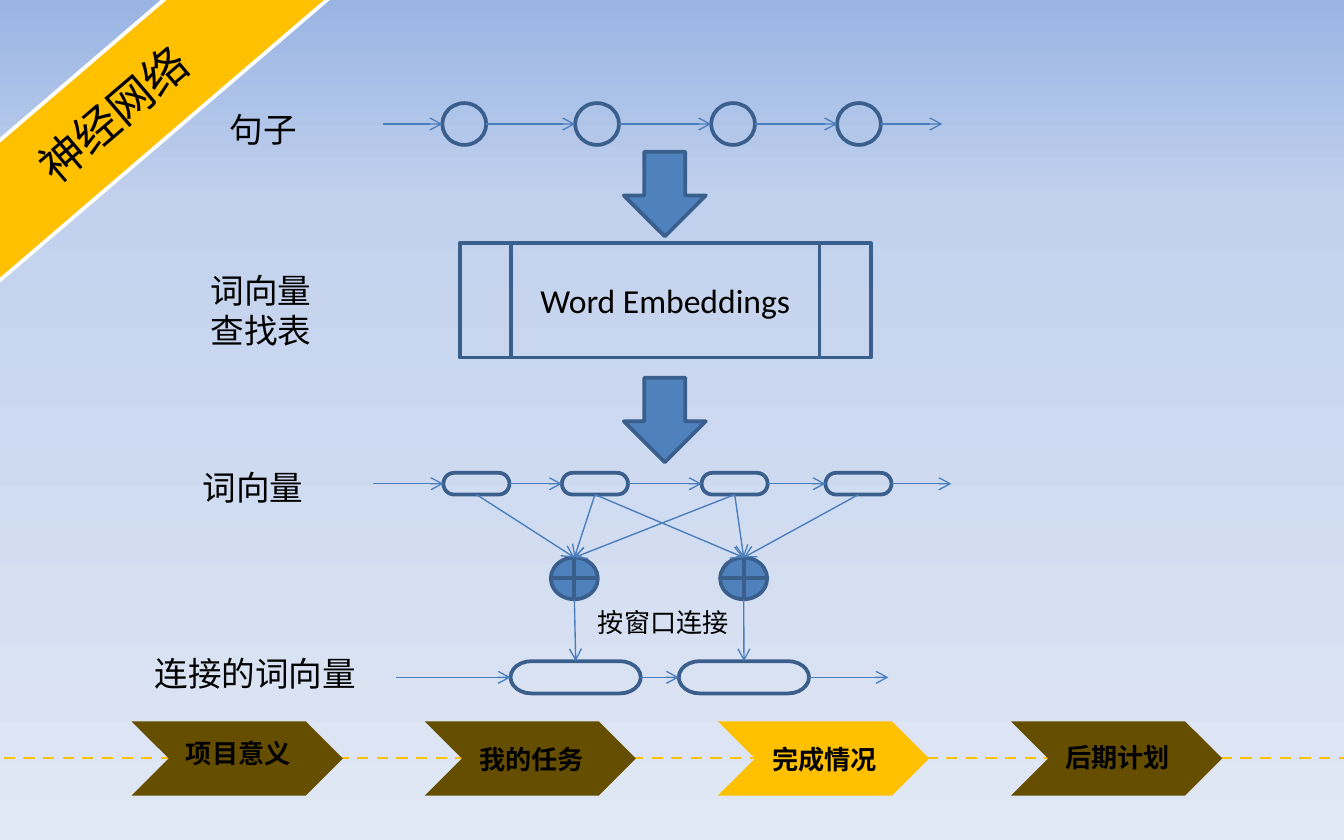
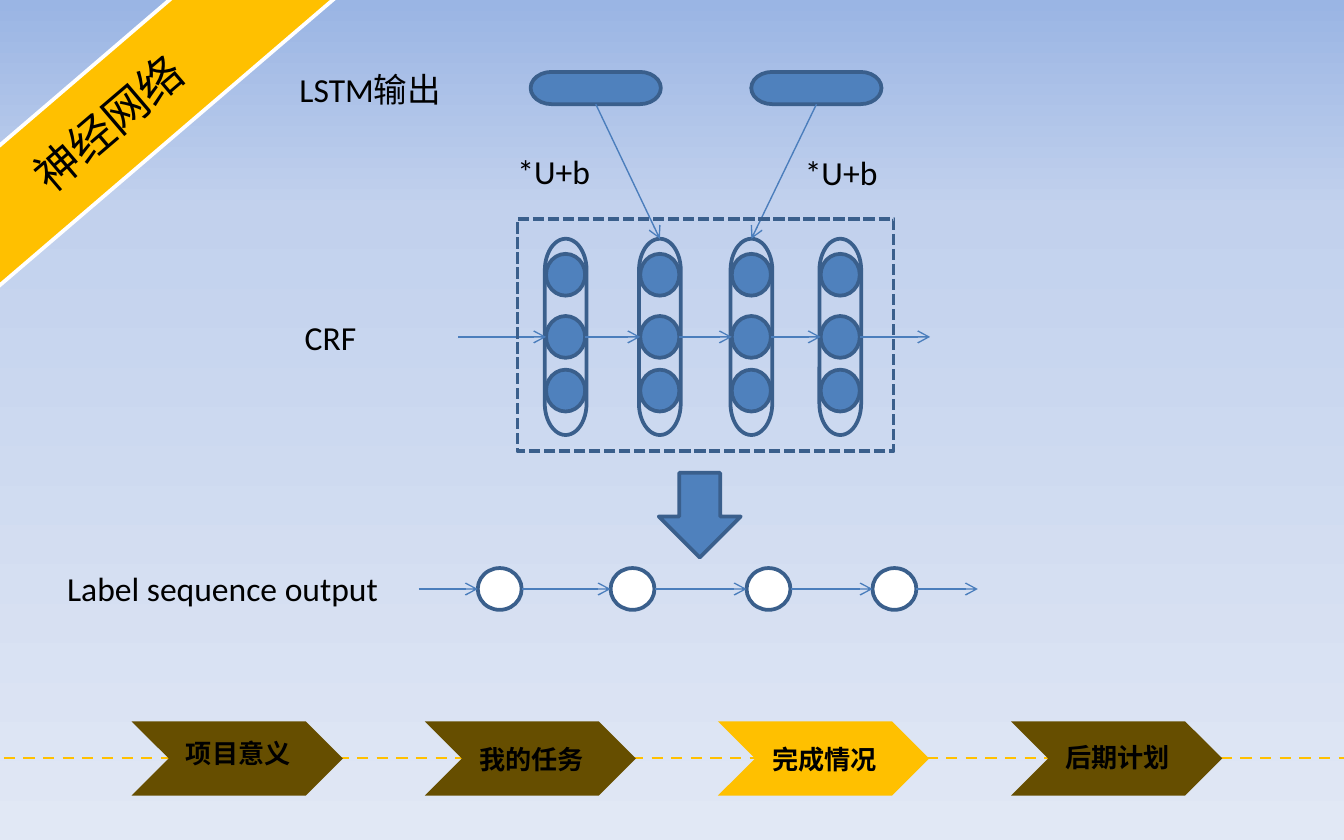
import copy
from dataclasses import dataclass
from itertools import pairwise
from typing import Optional

import pptx
import pptx.dml.color
import pptx.enum.dml
import pptx.enum.shapes
import pptx.enum.text
import pptx.oxml
import pptx.oxml.ns
import pptx.util
from pptx.util import Cm

Kind = pptx.enum.shapes.MSO_SHAPE
Dash = pptx.enum.dml.MSO_LINE
Align = pptx.enum.text.PP_ALIGN


@dataclass(frozen=True)
class Theme:
    gold: str = "FFC000"
    brown: str = "664E00"
    white: str = "FFFFFF"
    black: str = "000000"
    blue: str = "4F81BD"
    outline: str = "3A5F8C"
    arrow: str = "4B7EBC"
    background: tuple = ((0, "9AB5E4"), (0.25, "C2D1ED"), (1, "E1E8F5"))
    latin: str = "Calibri"
    chinese: str = "Noto Sans CJK SC"
    title_size: int = 24
    label_size: int = 18
    small_size: int = 14
    outline_width: float = 2
    dash_width: float = 1.5
    arrow_width: float = 0.75


THEME = Theme()


@dataclass(frozen=True)
class Box:
    """A rectangle in centimetres."""
    left: float
    top: float
    width: float
    height: float

    @property
    def center(self) -> float:
        return self.left + self.width / 2

    @property
    def middle(self) -> float:
        return self.top + self.height / 2

    @property
    def right(self) -> float:
        return self.left + self.width

    @property
    def bottom(self) -> float:
        return self.top + self.height

    def lengths(self) -> tuple:
        return Cm(self.left), Cm(self.top), Cm(self.width), Cm(self.height)


@dataclass(frozen=True)
class Label:
    text: str
    box: Box
    size: int = THEME.label_size


@dataclass(frozen=True)
class Chain:
    """Equal nodes on one row, joined by arrows from start to end."""
    kind: Kind
    lefts: tuple
    top: float
    width: float
    height: float
    start: float
    end: float
    fill: Optional[str] = None

    def boxes(self) -> list[Box]:
        return [Box(left, self.top, self.width, self.height) for left in self.lefts]


# Shared layout
SECTIONS = ("项目意义", "我的任务", "完成情况", "后期计划")
SECTION_LABEL_TOPS = (13.82, 13.92, 13.92, 13.89)
ACTIVE_SECTION = "完成情况"
SECTION_LEFT, SECTION_STEP = 2.49, 5.54
SEQUENCE_LEFTS = (8.36, 10.87, 13.44, 15.82)
CIRCLE_WIDTH, CIRCLE_HEIGHT = 0.83, 0.79
CELL_WIDTH = 0.74
PILL_WIDTH, PILL_HEIGHT = 2.46, 0.61


# Drawing functions
def rgb(color: str) -> pptx.dml.color.RGBColor:
    return pptx.dml.color.RGBColor.from_string(color)


def set_text(shape, text: str, size: int, font: str = THEME.latin,
             bold: bool = False, align: Align = Align.CENTER) -> None:
    paragraph = shape.text_frame.paragraphs[0]
    paragraph.text = text
    paragraph.alignment = align
    paragraph.font.size = pptx.util.Pt(size)
    paragraph.font.bold = bold
    paragraph.font.color.rgb = rgb(THEME.black)
    paragraph.font.name = font
    properties = paragraph._p.pPr.find(pptx.oxml.ns.qn("a:defRPr"))
    properties.append(pptx.oxml.parse_xml(
        f'<a:ea {pptx.oxml.ns.nsdecls("a")} typeface="{THEME.chinese}"/>'))


def add_shape(slide, kind: Kind, box: Box, fill: Optional[str] = None,
              line: Optional[str] = THEME.outline, rotation: float = 0):
    shape = slide.shapes.add_shape(kind, *box.lengths())
    shape.shadow.inherit = False
    shape.rotation = rotation
    if fill:
        shape.fill.solid()
        shape.fill.fore_color.rgb = rgb(fill)
    else:
        shape.fill.background()
    if line:
        shape.line.color.rgb = rgb(line)
        shape.line.width = pptx.util.Pt(THEME.outline_width)
    else:
        shape.line.fill.background()
    return shape


def add_line(slide, start: tuple, end: tuple, color: str, width: float):
    connector = slide.shapes.add_connector(
        pptx.enum.shapes.MSO_CONNECTOR.STRAIGHT,
        *(Cm(value) for value in (*start, *end)))
    connector.line.color.rgb = rgb(color)
    connector.line.width = pptx.util.Pt(width)
    connector._element.spPr.append(
        pptx.oxml.parse_xml(f'<a:effectLst {pptx.oxml.ns.nsdecls("a")}/>'))
    return connector


def add_arrow(slide, start: tuple, end: tuple) -> None:
    connector = add_line(slide, start, end, THEME.arrow, THEME.arrow_width)
    connector.line._get_or_add_ln().append(pptx.oxml.parse_xml(
        f'<a:tailEnd {pptx.oxml.ns.nsdecls("a")} type="arrow"/>'))


def add_textbox(slide, box: Box, wrap: bool):
    textbox = slide.shapes.add_textbox(*box.lengths())
    textbox.text_frame.word_wrap = wrap
    textbox.text_frame.auto_size = pptx.enum.text.MSO_AUTO_SIZE.SHAPE_TO_FIT_TEXT
    return textbox


def add_labels(slide, labels: tuple[Label, ...]) -> None:
    for label in labels:
        textbox = add_textbox(slide, label.box, wrap=True)
        set_text(textbox, label.text, label.size, align=Align.LEFT)


def add_chain(slide, chain: Chain) -> list[Box]:
    boxes = chain.boxes()
    for box in boxes:
        add_shape(slide, chain.kind, box, chain.fill)
    middle = boxes[0].middle
    starts = [chain.start] + [box.right for box in boxes]
    ends = [box.left for box in boxes] + [chain.end]
    for start, end in zip(starts, ends):
        add_arrow(slide, (start, middle), (end, middle))
    return boxes


def add_sequence(slide, top: float, shift: float = 0, fill: Optional[str] = None) -> None:
    lefts = tuple(left + shift for left in SEQUENCE_LEFTS)
    add_chain(slide, Chain(Kind.FLOWCHART_CONNECTOR, lefts, top, CIRCLE_WIDTH,
                           CIRCLE_HEIGHT, 7.24 + shift, 17.81 + shift, fill))


def add_down_arrow(slide, left: float, top: float) -> None:
    add_shape(slide, Kind.DOWN_ARROW, Box(left, top, 1.55, 1.6), THEME.blue)


def add_background(slide) -> None:
    fill = slide.background.fill
    fill.gradient()
    fill.gradient_angle = 270
    first_stop = slide.element.find(".//" + pptx.oxml.ns.qn("a:gs"))
    first_stop.addnext(copy.deepcopy(first_stop))
    for stop, (position, color) in zip(fill.gradient_stops, THEME.background):
        stop.position = position
        stop.color.rgb = rgb(color)


def add_navigation(slide) -> None:
    dashes = add_line(slide, (-0.3, 14.33), (25.81, 14.33), THEME.gold, THEME.dash_width)
    dashes.line.dash_style = Dash.DASH
    for index, (section, label_top) in enumerate(zip(SECTIONS, SECTION_LABEL_TOPS)):
        left = SECTION_LEFT + index * SECTION_STEP
        fill = THEME.gold if section == ACTIVE_SECTION else THEME.brown
        add_shape(slide, Kind.CHEVRON, Box(left, 13.64, 3.99, 1.4), fill, line=None)
        textbox = add_textbox(slide, Box(left + 0.76, label_top, 2.51, 0.86), wrap=False)
        set_text(textbox, section, THEME.small_size, THEME.chinese, bold=True)


def add_base_slide(presentation, banner_left: float, banner_top: float):
    slide = presentation.slides.add_slide(presentation.slide_layouts[6])
    add_background(slide)
    add_navigation(slide)
    banner = add_shape(slide, Kind.RECTANGLE, Box(banner_left, banner_top, 10.01, 2.01),
                       THEME.gold, THEME.white, rotation=319.4)
    set_text(banner, "神经网络", THEME.title_size, THEME.chinese)
    return slide


# Slide 1: from sentence to joined word vectors
def build_embedding_slide(presentation) -> None:
    slide = add_base_slide(presentation, -2.87, 1.14)
    add_sequence(slide, top=1.95)
    add_down_arrow(slide, 11.79, 2.87)
    lookup = add_shape(slide, Kind.FLOWCHART_PREDEFINED_PROCESS, Box(8.69, 4.6, 7.77, 2.16))
    set_text(lookup, "Word Embeddings", THEME.label_size)
    add_down_arrow(slide, 11.79, 7.14)

    words = add_chain(slide, Chain(Kind.FLOWCHART_TERMINATOR, (8.38, 10.62, 13.26, 15.6),
                                   8.94, 1.25, 0.41, 7.04, 17.98))
    joined = add_chain(slide, Chain(Kind.FLOWCHART_TERMINATOR, (9.65, 12.83), 12.5,
                                    PILL_WIDTH, PILL_HEIGHT, 7.49, 16.79))
    windows = (words[:3], words[1:])
    for left, window, target in zip((10.41, 13.61), windows, joined):
        junction = Box(left, 10.54, 0.89, 0.79)
        add_shape(slide, Kind.FLOWCHART_OR, junction, THEME.blue)
        for word in window:
            add_arrow(slide, (word.center, word.bottom), (junction.center, junction.top))
        add_arrow(slide, (junction.center, junction.bottom), (target.center, target.top))

    add_labels(slide, (
        Label("句子", Box(4.09, 1.93, 1.8, 1.02)),
        Label("词向量查找表", Box(3.73, 4.98, 2.84, 1.8)),
        Label("词向量", Box(3.58, 8.71, 2.84, 1.02)),
        Label("连接的词向量", Box(2.67, 12.22, 4.37, 1.02)),
        Label("按窗口连接", Box(11.05, 11.33, 3.15, 0.86), THEME.small_size),
    ))


# Slide 2: from LSTM output to label sequence
def build_crf_slide(presentation) -> None:
    slide = add_base_slide(presentation, -2.97, 1.32)
    centers, middle = (10.69, 12.47, 14.2, 15.88), 6.37
    length, thickness = 3.71, 0.79
    cell_lefts = tuple(center - CELL_WIDTH / 2 for center in centers)

    for center, left in zip(centers, cell_lefts):
        add_shape(slide, Kind.FLOWCHART_TERMINATOR,
                  Box(center - length / 2, middle - thickness / 2, length, thickness),
                  rotation=90)
        for cell_top in (4.8, 6.99):
            add_shape(slide, Kind.FLOWCHART_CONNECTOR,
                      Box(left, cell_top, CELL_WIDTH, CIRCLE_HEIGHT), THEME.blue)
    add_chain(slide, Chain(Kind.FLOWCHART_CONNECTOR, cell_lefts, middle - CIRCLE_HEIGHT / 2,
                           CELL_WIDTH, CIRCLE_HEIGHT, 8.66, 17.58, THEME.blue))

    for left, center in zip((10.03, 14.2), centers[1:3]):
        output = Box(left, 1.36, PILL_WIDTH, PILL_HEIGHT)
        add_shape(slide, Kind.FLOWCHART_TERMINATOR, output, THEME.blue)
        add_arrow(slide, (output.center, output.bottom), (center, middle - length / 2))

    frame = add_shape(slide, Kind.RECTANGLE, Box(9.78, 4.14, 7.11, 4.39))
    frame.line.dash_style = Dash.SQUARE_DOT
    add_down_arrow(slide, 12.45, 8.94)
    add_sequence(slide, top=10.74, shift=0.67, fill=THEME.white)

    add_labels(slide, (
        Label("LSTM输出", Box(5.41, 1.17, 3.61, 1.02)),
        Label("CRF", Box(5.51, 5.87, 2.13, 1.02)),
        Label("Label sequence output", Box(1.02, 10.62, 6.58, 1.02)),
        Label("*U+b", Box(9.53, 2.72, 2.41, 1.02)),
        Label("*U+b", Box(14.96, 2.74, 2.41, 1.02)),
    ))


def main() -> None:
    presentation = pptx.Presentation()
    presentation.slide_width, presentation.slide_height = Cm(25.4), Cm(15.88)
    build_embedding_slide(presentation)
    build_crf_slide(presentation)
    presentation.save("out.pptx")


if __name__ == "__main__":
    main()
